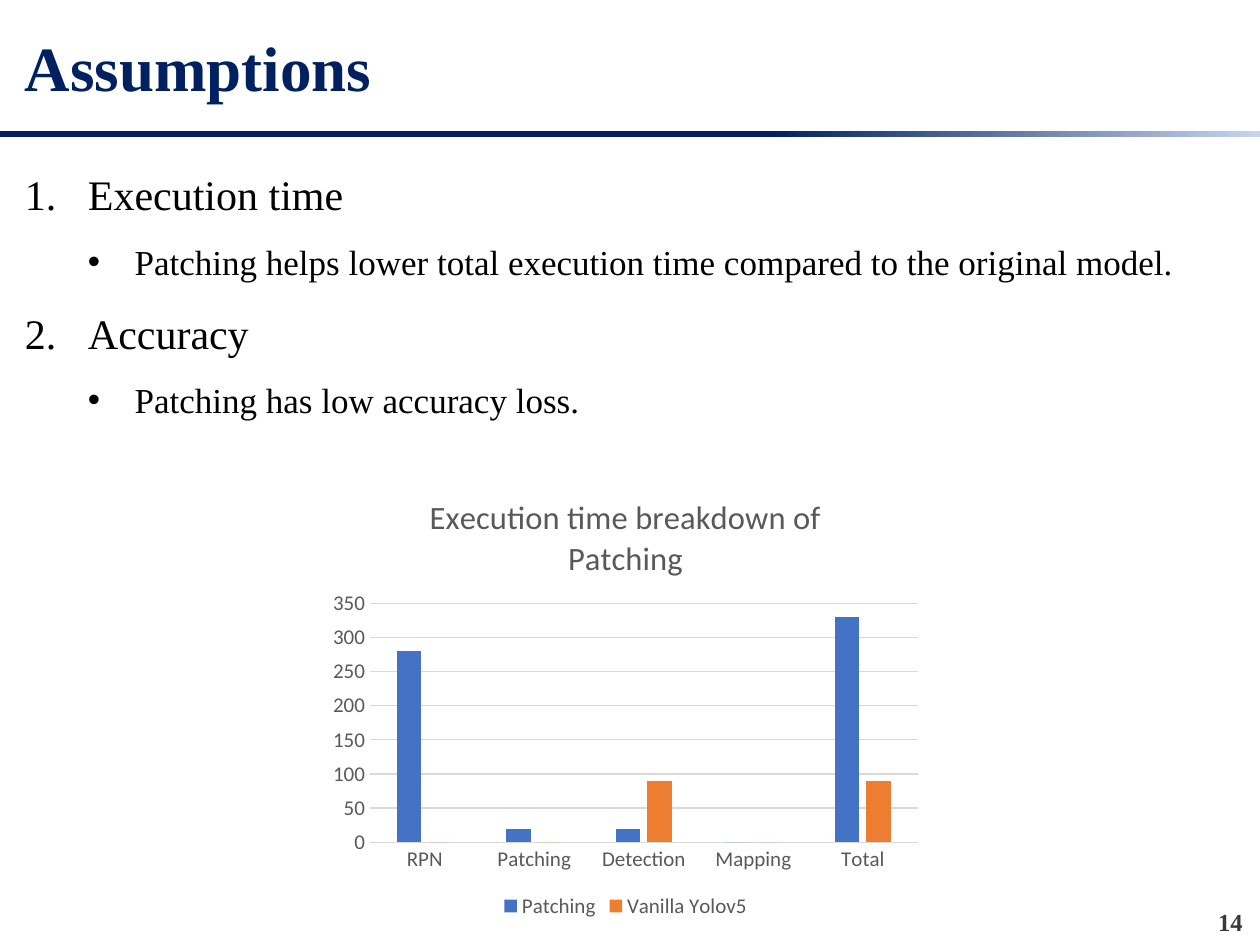
from dataclasses import dataclass

from lxml import etree
from pptx import Presentation, util as u
from pptx.chart.data import CategoryChartData
from pptx.dml.color import RGBColor
from pptx.enum import chart as ch, shapes, text
from pptx.oxml.ns import qn


@dataclass(frozen=True)
class Theme:
    navy: RGBColor = RGBColor.from_string("002060")
    pale: RGBColor = RGBColor.from_string("C7D5ED")
    number: RGBColor = RGBColor.from_string("3B3838")
    black: RGBColor = RGBColor.from_string("000000")
    label: RGBColor = RGBColor.from_string("595959")
    grid: RGBColor = RGBColor.from_string("D9D9D9")
    series: tuple = (RGBColor.from_string("4472C4"), RGBColor.from_string("ED7D31"))
    serif: str = "Times New Roman"
    sans: str = "Calibri"
    heading: float = 36
    levels: tuple = (24, 20)
    page_number: float = 14
    chart_title: float = 18.6
    chart_label: float = 12


theme = Theme()


def style(font, name, size, color, bold=False):
    font.name, font.size, font.bold = name, u.Pt(size), bold
    font.color.rgb = color


def add_box(left, top, width, height):
    """Add a wrapping text box and return its text frame."""
    box = page.shapes.add_textbox(*map(u.Inches, (left, top, width, height)))
    box.text_frame.word_wrap = True
    return box.text_frame


deck = Presentation()
deck.slide_width, deck.slide_height = u.Inches(10), u.Inches(7.5)
page = deck.slides.add_slide(deck.slide_layouts[6])

# Rule under the heading
rule = page.shapes.add_shape(
    shapes.MSO_SHAPE.RECTANGLE, 0, u.Inches(1.04), u.Inches(10), u.Inches(0.05))
rule.shadow.inherit = False
rule.line.fill.background()
rule.fill.gradient()
rule.fill.gradient_angle = 0
for stop, position, color in zip(
        rule.fill.gradient_stops, (0.61, 1), (theme.navy, theme.pale)):
    stop.position = position
    stop.color.rgb = color

# Heading and page number
heading = add_box(0.1, 0.13, 9.5, 0.8)
heading.vertical_anchor = text.MSO_ANCHOR.MIDDLE
span = heading.paragraphs[0].add_run()
span.text = "Assumptions"
style(span.font, theme.serif, theme.heading, theme.navy, True)

number = add_box(9.54, 7.15, 0.42, 0.3).paragraphs[0]
number.alignment = text.PP_ALIGN.RIGHT
span = number.add_run()
span.text = "14"
style(span.font, theme.serif, theme.page_number, theme.number, True)

# Numbered assumptions with bulleted details
assumptions = [
    (0, "Execution time"),
    (1, "Patching helps lower total execution time compared to the original model."),
    (0, "Accuracy"),
    (1, "Patching has low accuracy loss."),
]
indents = ((0.5, -0.5), (0.87, -0.37))
body = add_box(0.1, 1.09, 9.73, 2.35)
body.auto_size = text.MSO_AUTO_SIZE.SHAPE_TO_FIT_TEXT
for index, (level, wording) in enumerate(assumptions):
    para = body.add_paragraph() if index else body.paragraphs[0]
    para.level = level
    para.line_spacing = 1.5
    props = para._p.get_or_add_pPr()
    margin, hanging = indents[level]
    props.set("marL", str(u.Inches(margin)))
    props.set("indent", str(u.Inches(hanging)))
    if level:
        etree.SubElement(props, qn("a:buFont"), typeface="Arial")
        etree.SubElement(props, qn("a:buChar"), char="•")
    else:
        etree.SubElement(props, qn("a:buFont"), typeface="+mj-lt")
        etree.SubElement(props, qn("a:buAutoNum"), type="arabicPeriod")
    span = para.add_run()
    span.text = wording
    style(span.font, theme.serif, theme.levels[level], theme.black)

# Execution time chart
data = CategoryChartData()
data.categories = ["RPN", "Patching", "Detection", "Mapping", "Total"]
data.add_series("Patching", (280, 20, 20, 0, 330))
data.add_series("Vanilla Yolov5", (0, 0, 90, 0, 90))
chart = page.shapes.add_chart(
    ch.XL_CHART_TYPE.COLUMN_CLUSTERED, u.Inches(2.55), u.Inches(3.75),
    u.Inches(4.83), u.Inches(3.58), data).chart
style(chart.font, theme.sans, theme.chart_label, theme.label)

chart.has_title = True
span = chart.chart_title.text_frame.paragraphs[0].add_run()
span.text = "Execution time breakdown of Patching"
style(span.font, theme.sans, theme.chart_title, theme.label)
chart.chart_title.include_in_layout = False

chart.has_legend = True
chart.legend.position = ch.XL_LEGEND_POSITION.BOTTOM
chart.legend.include_in_layout = False
style(chart.legend.font, theme.sans, theme.chart_label, theme.label)

for axis in (chart.category_axis, chart.value_axis):
    axis.major_tick_mark = axis.minor_tick_mark = ch.XL_TICK_MARK.NONE
    style(axis.tick_labels.font, theme.sans, theme.chart_label, theme.label)
chart.value_axis.minimum_scale = 0
chart.value_axis.maximum_scale = 350
chart.value_axis.major_unit = 50
chart.value_axis.format.line.fill.background()
for line in (chart.category_axis.format.line,
             chart.value_axis.major_gridlines.format.line):
    line.color.rgb = theme.grid
    line.width = u.Pt(0.75)

plot = chart.plots[0]
plot.gap_width, plot.overlap = 219, -27
plot.vary_by_categories = False
for series, color in zip(plot.series, theme.series):
    series.format.fill.solid()
    series.format.fill.fore_color.rgb = color

# Fixed plot area, as fractions of the chart
area = chart._chartSpace.chart.plotArea
for old in area.findall(qn("c:layout")):
    area.remove(old)
layout = etree.Element(qn("c:layout"))
area.insert(0, layout)
manual = etree.SubElement(layout, qn("c:manualLayout"))
for tag, value in (("layoutTarget", "inner"), ("xMode", "edge"), ("yMode", "edge"),
                   ("x", "0.08"), ("y", "0.29"), ("w", "0.9"), ("h", "0.53")):
    etree.SubElement(manual, qn(f"c:{tag}"), val=value)

deck.save("out.pptx")
